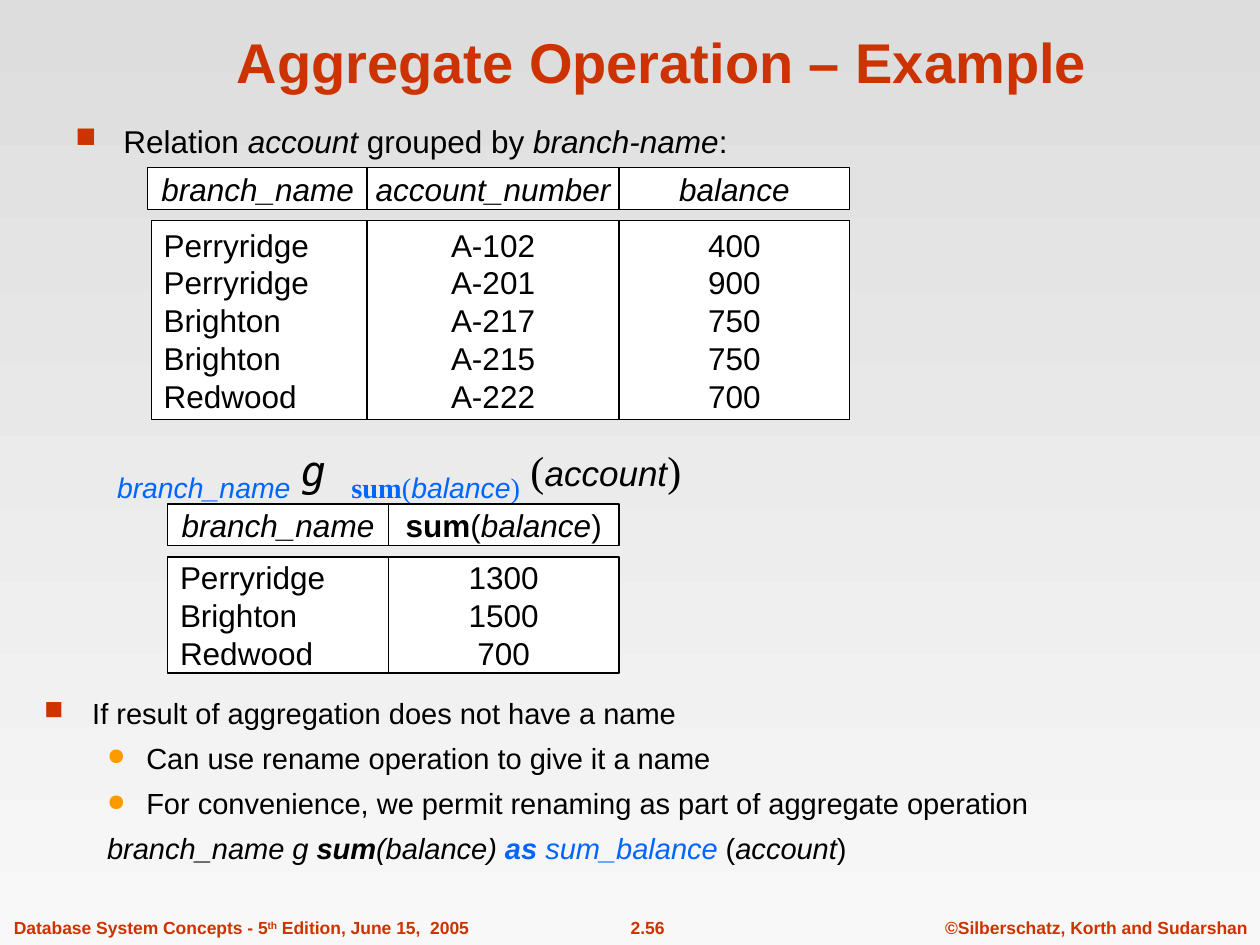
from dataclasses import dataclass, replace
from typing import Optional, Sequence

from lxml import etree
from pptx import Presentation
from pptx import util as u
from pptx.dml.color import RGBColor
from pptx.enum import shapes, text
from pptx.oxml.ns import qn

COLOURS = {
    "sky": "DDDDDD", "ground": "F8F8F8", "heading": "CC3300", "ink": "000000",
    "subscript": "0066FF", "sub_bullet": "FF9900", "paper": "FFFFFF",
}
LEFT, CENTRE = text.PP_ALIGN.LEFT, text.PP_ALIGN.CENTER


@dataclass(frozen=True)
class Run:
    words: str
    size: float = 18
    colour: str = "ink"
    bold: bool = False
    italic: bool = False
    font: str = "Arial"
    baseline: int = 0  # percent of the text size


@dataclass(frozen=True)
class Bullet:
    char: str
    colour: str
    percent: int


@dataclass(frozen=True)
class Para:
    runs: Sequence[Run]
    align: text.PP_ALIGN = LEFT
    bullet: Optional[Bullet] = None
    margin: float = 0
    indent: float = 0
    level: int = 0
    before: float = 0
    line: float = 1


@dataclass(frozen=True)
class Column:
    head: Sequence[Run]
    values: Sequence[str]
    left: float
    width: float
    align: text.PP_ALIGN = CENTRE
    shift: float = 0  # offset of the values from the head


SQUARE = Bullet("■", "heading", 90)
DOT = Bullet("●", "sub_bullet", 80)


def rgb(name: str) -> RGBColor:
    return RGBColor.from_string(COLOURS[name])


def add_bullet(paragraph, bullet: Bullet) -> None:
    props = paragraph._p.get_or_add_pPr()
    tint = etree.SubElement(props, qn("a:buClr"))
    etree.SubElement(tint, qn("a:srgbClr"), val=COLOURS[bullet.colour])
    etree.SubElement(props, qn("a:buSzPct"), val=str(bullet.percent * 1000))
    etree.SubElement(props, qn("a:buChar"), char=bullet.char)


def write(frame, paras: Sequence[Para], wrap: bool = True,
          anchor: text.MSO_ANCHOR = text.MSO_ANCHOR.TOP) -> None:
    frame.word_wrap = wrap
    frame.vertical_anchor = anchor
    for number, para in enumerate(paras):
        paragraph = frame.add_paragraph() if number else frame.paragraphs[0]
        props = paragraph._p.get_or_add_pPr()
        props.set("marL", str(u.Cm(para.margin)))
        props.set("indent", str(u.Cm(para.indent)))
        if para.bullet:
            add_bullet(paragraph, para.bullet)
        paragraph.alignment = para.align
        paragraph.level = para.level
        paragraph.line_spacing = para.line
        if number:
            paragraph.space_before = u.Pt(para.before)
        for item in para.runs:
            run = paragraph.add_run()
            run.text = item.words
            font = run.font
            font.name, font.size = item.font, u.Pt(item.size)
            font.bold, font.italic = item.bold, item.italic
            font.color.rgb = rgb(item.colour)
            if item.baseline:
                font._element.set("baseline", str(item.baseline * 1000))


def add_text(slide, left: float, top: float, width: float, height: float,
             paras: Sequence[Para], wrap: bool = True,
             anchor: text.MSO_ANCHOR = text.MSO_ANCHOR.TOP) -> None:
    box = slide.shapes.add_textbox(u.Cm(left), u.Cm(top), u.Cm(width), u.Cm(height))
    write(box.text_frame, paras, wrap, anchor)


def add_cell(slide, left: float, top: float, width: float, height: float,
             paras: Sequence[Para]) -> None:
    cell = slide.shapes.add_shape(shapes.MSO_SHAPE.RECTANGLE, u.Cm(left), u.Cm(top),
                                  u.Cm(width), u.Cm(height))
    cell.shadow.inherit = False
    cell.fill.solid()
    cell.fill.fore_color.rgb = rgb("paper")
    cell.line.color.rgb = rgb("ink")
    cell.line.width = u.Pt(0.75)
    write(cell.text_frame, paras, False, text.MSO_ANCHOR.MIDDLE)


def add_relation(slide, top: float, body_height: float, columns: Sequence[Column]) -> None:
    for col in columns:
        add_cell(slide, col.left, top, col.width, 0.84, [Para(col.head, CENTRE)])
    for col in columns:
        add_cell(slide, col.left + col.shift, top + 1.07, col.width, body_height,
                 [Para([Run(value)], col.align) for value in col.values])


def add_swoosh(slide) -> None:
    outline = [(24.77, 15.27), (24.79, 15.19), (24.87, 15.15), (25.0, 15.12),
               (25.15, 15.13), (25.4, 15.19), (25.35, 15.22), (25.1, 15.17),
               (25.1, 15.24), (25.02, 15.17), (25.02, 15.24), (24.94, 15.17),
               (24.94, 15.24), (24.87, 15.19), (24.79, 15.24)]
    builder = slide.shapes.build_freeform(*outline[0], scale=u.Cm(1))
    builder.add_line_segments(outline[1:], close=True)
    swoosh = builder.convert_to_shape()
    swoosh.shadow.inherit = False
    swoosh.fill.solid()
    swoosh.fill.fore_color.rgb = rgb("paper")
    swoosh.line.fill.background()


def main() -> None:
    deck = Presentation()
    deck.slide_width, deck.slide_height = u.Cm(25.4), u.Cm(19.05)
    slide = deck.slides.add_slide(deck.slide_layouts[6])

    # Background, fading downwards
    backdrop = slide.background.fill
    backdrop.gradient()
    backdrop.gradient_angle = 270
    for stop, name in zip(backdrop.gradient_stops, ("sky", "ground")):
        stop.color.rgb = rgb(name)

    # Footer and decoration
    small = Run("", 10, "heading", bold=True)
    edition = [replace(small, words="Database System Concepts - 5"),
               replace(small, words="th", baseline=30),
               replace(small, words=" Edition, June 15,  2005")]
    for left, width, runs, align in (
            (18.8, 6.6, [replace(small, words="©Silberschatz, Korth and Sudarshan")], CENTRE),
            (11.81, 2.49, [replace(small, words="2.56")], CENTRE),
            (0.03, 9.68, edition, LEFT)):
        add_text(slide, left, 18.36, width, 0.69, [Para(runs, align)], wrap=False)
    add_swoosh(slide)

    # Title and lead-in
    add_text(slide, 2.13, 0.33, 22.43, 1.7,
             [Para([Run("Aggregate Operation – Example", 32, "heading", bold=True)], CENTRE)],
             anchor=text.MSO_ANCHOR.BOTTOM)
    lead_in = [Run("Relation "), Run("account", italic=True), Run(" grouped by "),
               Run("branch-name", italic=True), Run(":")]
    add_text(slide, 1.27, 2.34, 19.08, 1.14, [Para(lead_in, LEFT, SQUARE, 0.97, -0.97)])

    # Aggregate expression
    serif = Run("", 24, font="Times New Roman")
    sub = Run("", 28, "subscript", baseline=-25)
    serif_sub = replace(sub, font="Times New Roman")
    add_text(slide, 2.11, 8.69, 14.4, 1.63, [Para([
        replace(sub, words="branch_name", italic=True),
        replace(serif, words=" ", colour="subscript"),
        Run("g ", 24, italic=True, font="DejaVu Sans Mono"),
        replace(serif_sub, words="sum", bold=True),
        replace(serif_sub, words="("),
        replace(sub, words="balance", italic=True),
        replace(serif_sub, words=")"),
        replace(serif, words=" ("),
        Run("account", 20, italic=True),
        replace(serif, words=")")])])

    # Grouped relation and its aggregate
    branch = [Run("branch_name", italic=True)]
    balance = Run("balance", italic=True)
    add_relation(slide, 3.38, 4.01, [
        Column(branch, ["Perryridge", "Perryridge", "Brighton", "Brighton", "Redwood"],
               2.97, 4.45, LEFT, 0.08),
        Column([Run("account_number", italic=True)],
               ["A-102", "A-201", "A-217", "A-215", "A-222"], 7.4, 5.08),
        Column([balance], ["400", "900", "750", "750", "700"], 12.48, 4.65)])
    add_relation(slide, 10.16, 2.34, [
        Column(branch, ["Perryridge", "Brighton", "Redwood"], 3.38, 4.45, LEFT),
        Column([Run("sum", bold=True), Run("("), balance, Run(")")],
               ["1300", "1500", "700"], 7.83, 4.65)])

    # Notes on naming the result
    plain = Run("", 16.6)
    slanted = replace(plain, italic=True)
    blue = replace(slanted, colour="subscript")
    point = Para([replace(plain, words="If result of aggregation does not have a name")],
                 LEFT, SQUARE, 0.97, -0.97, before=7.9, line=0.9)
    subpoint = replace(point, bullet=DOT, margin=2.06, indent=-0.79, level=1)
    renaming = [replace(slanted, words="branch_name g "),
                replace(slanted, words="sum", bold=True),
                replace(slanted, words="(balance) "),
                replace(blue, words="as", bold=True),
                replace(blue, words=" sum_balance "),
                replace(plain, words="("),
                replace(slanted, words="account"),
                replace(plain, words=")")]
    add_text(slide, 0.64, 13.97, 23.7, 4.01, [
        point,
        replace(subpoint, runs=[replace(
            plain, words="Can use rename operation to give it a name")]),
        replace(subpoint, runs=[replace(
            plain, words="For convenience, we permit renaming as part of aggregate operation")]),
        replace(subpoint, runs=renaming, bullet=None)])

    deck.save("out.pptx")


if __name__ == "__main__":
    main()
